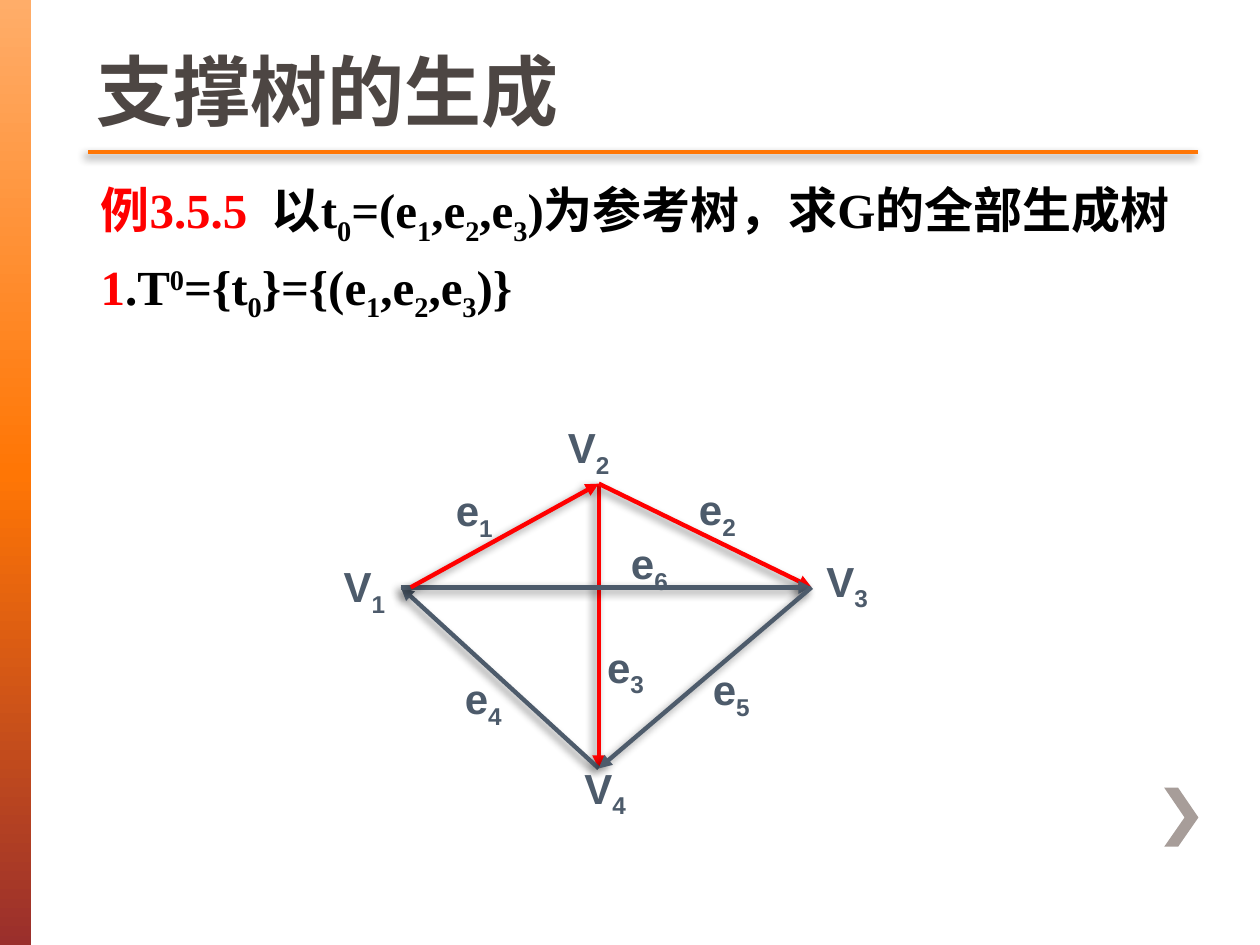
"""Build a slide on generating spanning trees, with a directed graph of four vertices."""
from copy import deepcopy
from dataclasses import dataclass

from lxml import etree
from pptx import Presentation
from pptx import util as u
from pptx.dml.color import RGBColor
from pptx.enum import shapes, text
from pptx.oxml import ns

ORANGE = RGBColor(0xFF, 0x76, 0x05)
PEACH = RGBColor(0xFF, 0xAD, 0x69)
BRICK = RGBColor(0x9A, 0x2F, 0x2C)
TAUPE = RGBColor(0xA7, 0x9D, 0x99)
BROWN = RGBColor(0x4D, 0x46, 0x43)
SLATE = RGBColor(0x4D, 0x5B, 0x6B)
RED = RGBColor(0xFF, 0x00, 0x00)
BLACK = RGBColor(0x00, 0x00, 0x00)
SUB, SUPER = -25, 30


@dataclass(frozen=True)
class Span:
    words: str
    shift: int = 0
    color: RGBColor = BLACK


@dataclass(frozen=True)
class Style:
    font: str
    size: int


@dataclass(frozen=True)
class Frame:
    left: float
    top: float
    width: float
    height: float


@dataclass(frozen=True)
class Edge:
    start: tuple[float, float]
    end: tuple[float, float]
    color: RGBColor


@dataclass(frozen=True)
class Label:
    letter: str
    number: str
    left: float
    top: float


V1, V2, V3, V4 = (8.08, 11.84), (12.07, 9.75), (16.36, 11.84), (12.07, 15.49)
EDGES = [
    Edge(V2, V4, RED),
    Edge(V2, V3, RED),
    Edge(V4, V1, SLATE),
    Edge(V1, V3, SLATE),
    Edge((8.28, 11.84), V2, RED),
    Edge(V3, V4, SLATE),
]
LABELS = [
    Label("e", "1", 8.94, 9.65),
    Label("e", "2", 13.84, 9.63),
    Label("e", "3", 11.99, 12.8),
    Label("e", "4", 9.12, 13.44),
    Label("e", "5", 14.12, 13.26),
    Label("e", "6", 12.47, 10.72),
    Label("V", "1", 6.68, 11.18),
    Label("V", "2", 11.2, 8.38),
    Label("V", "3", 16.41, 11.07),
    Label("V", "4", 11.53, 15.24),
]
CHEVRON = [(23.75, 15.88), (23.47, 15.88), (23.88, 16.48),
           (23.47, 17.07), (23.75, 17.07), (24.16, 16.48)]
TREE = [Span("e"), Span("1", SUB), Span(",e"), Span("2", SUB), Span(",e"), Span("3", SUB)]
BODY = [
    [Span("例3.5.5  ", color=RED), Span("以t"), Span("0", SUB), Span("=("), *TREE,
     Span(")为参考树，求G的全部生成树")],
    [Span("1", color=RED), Span(".T"), Span("0", SUPER), Span("={t"), Span("0", SUB),
     Span("}={("), *TREE, Span(")}")],
]


def add_text(page, frame: Frame, paragraphs: list[list[Span]], style: Style,
             anchor=text.MSO_ANCHOR.TOP, before: float = 0) -> None:
    """Add a text box whose paragraphs are lists of spans."""
    box = page.shapes.add_textbox(u.Cm(frame.left), u.Cm(frame.top),
                                  u.Cm(frame.width), u.Cm(frame.height))
    body = box.text_frame
    body.word_wrap = True
    body.vertical_anchor = anchor
    for index, spans in enumerate(paragraphs):
        para = body.paragraphs[0] if index == 0 else body.add_paragraph()
        para.space_before = u.Pt(before)
        for span in spans:
            run = para.add_run()
            run.text = span.words
            run.font.name = style.font
            run.font.size = u.Pt(style.size)
            run.font.bold = True
            run.font.color.rgb = span.color
            if span.shift:
                run.font._element.set("baseline", str(span.shift * 1000))


def add_line(page, edge: Edge, arrow: bool = True) -> None:
    """Add a softly shadowed line, with an arrowhead at its end if wanted."""
    line = page.shapes.add_connector(shapes.MSO_CONNECTOR.STRAIGHT,
                                     *(u.Cm(value) for value in edge.start + edge.end))
    line.line.color.rgb = edge.color
    line.line.width = u.Pt(2.5)
    if arrow:
        etree.SubElement(line.line._get_or_add_ln(), ns.qn("a:tailEnd"), type="triangle")
    effects = etree.SubElement(line._element.spPr, ns.qn("a:effectLst"))
    shadow = etree.SubElement(effects, ns.qn("a:outerShdw"), blurRad=str(u.Pt(5)),
                              dist=str(u.Pt(3)), dir="8100000", rotWithShape="0")
    shade = etree.SubElement(shadow, ns.qn("a:srgbClr"), val=str(BLACK))
    etree.SubElement(shade, ns.qn("a:alpha"), val="45000")


def add_side_band(page) -> None:
    """Add the gradient band along the left edge."""
    band = page.shapes.add_shape(shapes.MSO_SHAPE.RECTANGLE, 0, 0, u.Cm(0.63), u.Cm(19.05))
    band.shadow.inherit = False
    band.line.fill.background()
    band.fill.gradient()
    band.fill.gradient_angle = 270
    stops = band._element.spPr.find(ns.qn("a:gradFill")).find(ns.qn("a:gsLst"))
    stops.append(deepcopy(stops[-1]))
    for stop, color, position in zip(band.fill.gradient_stops, (PEACH, ORANGE, BRICK), (0, 0.5, 1)):
        stop.color.rgb = color
        stop.position = position


def add_chevron(page) -> None:
    """Add the chevron in the lower right corner."""
    points = [(u.Cm(x), u.Cm(y)) for x, y in CHEVRON]
    builder = page.shapes.build_freeform(*points[0])
    builder.add_line_segments(points[1:])
    chevron = builder.convert_to_shape()
    chevron.shadow.inherit = False
    chevron.fill.solid()
    chevron.fill.fore_color.rgb = TAUPE
    chevron.line.fill.background()


def main() -> None:
    """Draw the slide and save the deck."""
    deck = Presentation()
    deck.slide_width, deck.slide_height = u.Cm(25.4), u.Cm(19.05)
    page = deck.slides.add_slide(deck.slide_layouts[6])
    add_side_band(page)
    add_chevron(page)
    add_line(page, Edge((1.78, 3.07), (24.16, 3.07), ORANGE), arrow=False)
    add_text(page, Frame(1.7, 0, 22.38, 2.87), [[Span("支撑树的生成", color=BROWN)]],
             Style("Arial", 44), text.MSO_ANCHOR.BOTTOM)
    add_text(page, Frame(1.78, 3.5, 22.86, 14.48), BODY, Style("Times New Roman", 28), before=5.6)
    for edge in EDGES:
        add_line(page, edge)
    for label in LABELS:
        spans = [Span(label.letter, color=SLATE), Span(label.number, SUB, SLATE)]
        width = 1.35 if label.letter == "e" else 1.65
        add_text(page, Frame(label.left, label.top, width, 1.27), [spans], Style("Arial", 24))
    deck.save("out.pptx")


if __name__ == "__main__":
    main()
